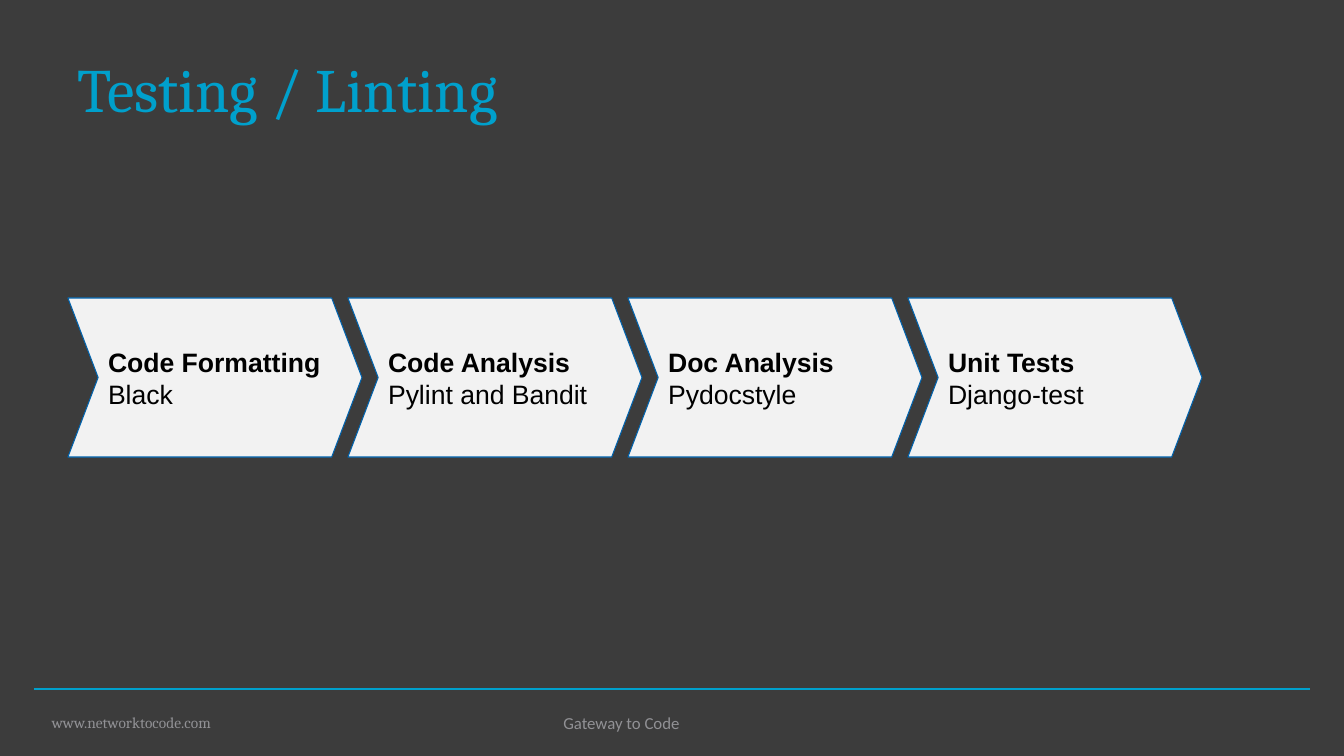
from pptx import Presentation
from pptx import util as u
from pptx.dml.color import RGBColor
from pptx.enum import shapes, text
from pptx.oxml.ns import qn
from lxml import etree

BLUE, GREY, BLACK = "00A0CC", "919195", "000000"
SCALE = 914400 / 100.8  # EMU in one px


def px(*vals):
    return [u.Emu(round(v * SCALE)) for v in vals]


def rgb(code):
    return RGBColor.from_string(code)


class Deck:
    def __init__(self, wide, high, back):
        self.prs = Presentation()
        self.prs.slide_width, self.prs.slide_height = px(wide, high)
        self.slide = self.prs.slides.add_slide(self.prs.slide_layouts[5])
        fill = self.slide.background.fill
        fill.solid()
        fill.fore_color.rgb = rgb(back)

    def run(self, para, words, face, size, color, bold=False):
        run = para.add_run()
        run.text = words
        font = run.font
        font.name, font.size, font.bold = face, u.Pt(size), bold
        font.color.rgb = rgb(color)

    def title(self, box, words):
        shape = self.slide.shapes.title
        shape.left, shape.top, shape.width, shape.height = px(*box)
        frame = shape.text_frame
        frame.auto_size = text.MSO_AUTO_SIZE.NONE
        frame.vertical_anchor = text.MSO_ANCHOR.MIDDLE
        para = frame.paragraphs[0]
        para.alignment = text.PP_ALIGN.LEFT
        self.run(para, words, "Cambria", 44, BLUE)

    def rule(self, x1, x2, y):
        line = self.slide.shapes.add_connector(
            shapes.MSO_CONNECTOR.STRAIGHT, *px(x1, y, x2, y))
        line.line.color.rgb = rgb(BLUE)
        line.line.width = u.Pt(1.5)
        etree.SubElement(line._element.spPr, qn("a:effectLst"))

    def label(self, box, words, face, size, align):
        frame = self.slide.shapes.add_textbox(*px(*box)).text_frame
        frame.word_wrap = True
        para = frame.paragraphs[0]
        para.alignment = align
        self.run(para, words, face, size, GREY)

    def step(self, box, head, tool):
        shape = self.slide.shapes.add_shape(shapes.MSO_SHAPE.CHEVRON, *px(*box))
        shape.adjustments[0] = 0.19
        shape.shadow.inherit = False
        shape.fill.solid()
        shape.fill.fore_color.rgb = rgb("F2F2F2")
        shape.line.color.rgb = rgb("0063AE")
        shape.line.width = u.Pt(0.75)
        frame = shape.text_frame
        frame.word_wrap = True
        frame.vertical_anchor = text.MSO_ANCHOR.MIDDLE
        frame.margin_left = frame.margin_right = u.Inches(0.1)
        frame.margin_top = frame.margin_bottom = u.Inches(0.1)
        para = frame.paragraphs[0]
        para.alignment = text.PP_ALIGN.LEFT
        self.run(para, head, "Arial", 19, BLACK, True)
        para.add_line_break()
        self.run(para, tool, "Arial", 19, BLACK)


def main():
    deck = Deck(1344, 756, "3C3C3C")

    # Footer
    deck.rule(34, 1310, 689)
    deck.label((42, 708, 200, 29), "www.networktocode.com", "Cambria", 11,
               text.PP_ALIGN.LEFT)
    deck.label((487, 708, 269, 30), "Gateway to Code", "Calibri", 12,
               text.PP_ALIGN.CENTER)

    # Title
    deck.title((67, 25, 1210, 126), "Testing / Linting")

    # Steps, left to right at an equal pitch
    steps = [("Code Formatting", "Black"),
             ("Code Analysis", "Pylint and Bandit"),
             ("Doc Analysis", "Pydocstyle"),
             ("Unit Tests", "Django-test")]
    for i, (head, tool) in enumerate(steps):
        deck.step((68 + 280 * i, 298, 294, 159), head, tool)

    deck.prs.save("out.pptx")


if __name__ == "__main__":
    main()
